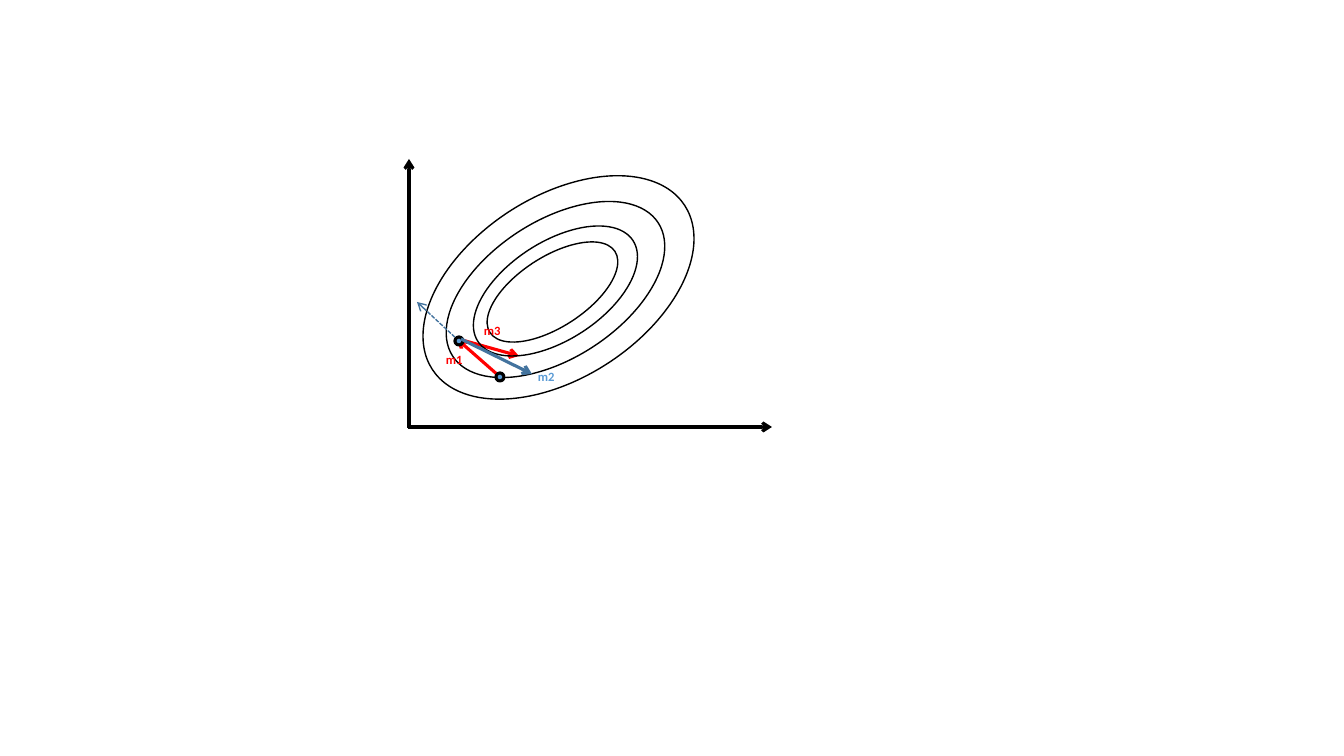
from lxml.etree import SubElement
from pptx import Presentation
from pptx.dml.color import RGBColor
from pptx.enum.dml import MSO_LINE_DASH_STYLE as DASH
from pptx.enum.shapes import MSO_AUTO_SHAPE_TYPE as SHAPE, MSO_CONNECTOR as CONNECTOR
from pptx.enum.text import MSO_AUTO_SIZE as AUTO_SIZE
from pptx.oxml.ns import qn
from pptx.util import Inches, Pt

BLACK = RGBColor(0x00, 0x00, 0x00)
RED = RGBColor(0xFF, 0x00, 0x00)
LIGHT_BLUE = RGBColor(0x5B, 0x9B, 0xD5)
DARK_BLUE = RGBColor(0x43, 0x73, 0x9E)

PIXELS_PER_INCH = 100.8
CONTOUR_ROTATION = 327
DOT_SIZE = 8
THIN, THICK = 1, 2.25


def px(*lengths):
    """Turn pixel lengths into EMU."""
    return [round(length * Inches(1) / PIXELS_PER_INCH) for length in lengths]


def add_arrow(slide, start, end, color, width=THICK, dash=None):
    arrow = slide.shapes.add_connector(CONNECTOR.STRAIGHT, *px(*start, *end))
    arrow.line.color.rgb = color
    arrow.line.width = Pt(width)
    if dash is not None:
        arrow.line.dash_style = dash
    SubElement(arrow.line._get_or_add_ln(), qn("a:tailEnd"), type="arrow")
    SubElement(arrow._element.spPr, qn("a:effectLst"))


def add_ellipse(slide, box, width, fill=None, rotation=0):
    ellipse = slide.shapes.add_shape(SHAPE.OVAL, *px(*box))
    ellipse.shadow.inherit = False
    ellipse.rotation = rotation
    if fill is None:
        ellipse.fill.background()
    else:
        ellipse.fill.solid()
        ellipse.fill.fore_color.rgb = fill
    ellipse.line.color.rgb = BLACK
    ellipse.line.width = Pt(width)


def add_dot(slide, left, top):
    add_ellipse(slide, (left, top, DOT_SIZE, DOT_SIZE), THICK, LIGHT_BLUE)


def add_label(slide, text, left, top, color, wrap=False):
    label = slide.shapes.add_textbox(*px(left, top, 39, 26))
    frame = label.text_frame
    frame.word_wrap = wrap
    frame.auto_size = AUTO_SIZE.SHAPE_TO_FIT_TEXT
    paragraph = frame.paragraphs[0]
    paragraph.text = text
    font = paragraph.font
    font.name, font.size, font.bold = "Calibri", Pt(9), True
    font.color.rgb = color


def main():
    presentation = Presentation()
    presentation.slide_width, presentation.slide_height = px(1344, 756)
    slide = presentation.slides.add_slide(presentation.slide_layouts[6])

    # Step m3
    add_arrow(slide, (462, 340), (519, 356), RED)

    # Axes
    add_arrow(slide, (409, 428), (409, 159), BLACK)
    add_arrow(slide, (408, 427), (772, 427), BLACK)

    # Contour lines, from the inside out
    for contour in [
        (478, 257, 149, 70),
        (463, 242, 185, 98),
        (433, 221, 245, 137),
        (408, 197, 301, 181),
    ]:
        add_ellipse(slide, contour, THIN, rotation=CONTOUR_ROTATION)

    # Step m1 and its starting point
    add_arrow(slide, (499, 376), (457, 339), RED)
    add_dot(slide, 496, 373)
    add_label(slide, "m1", 436, 347, RED, wrap=True)
    add_label(slide, "m2", 528, 364, LIGHT_BLUE)

    # Continued direction, reached point and step m2
    add_arrow(slide, (459, 341), (417, 302), DARK_BLUE, THIN, DASH.SQUARE_DOT)
    add_dot(slide, 455, 337)
    add_arrow(slide, (461, 339), (532, 374), DARK_BLUE)
    add_label(slide, "m3", 474, 318, RED)

    presentation.save("out.pptx")


main()
